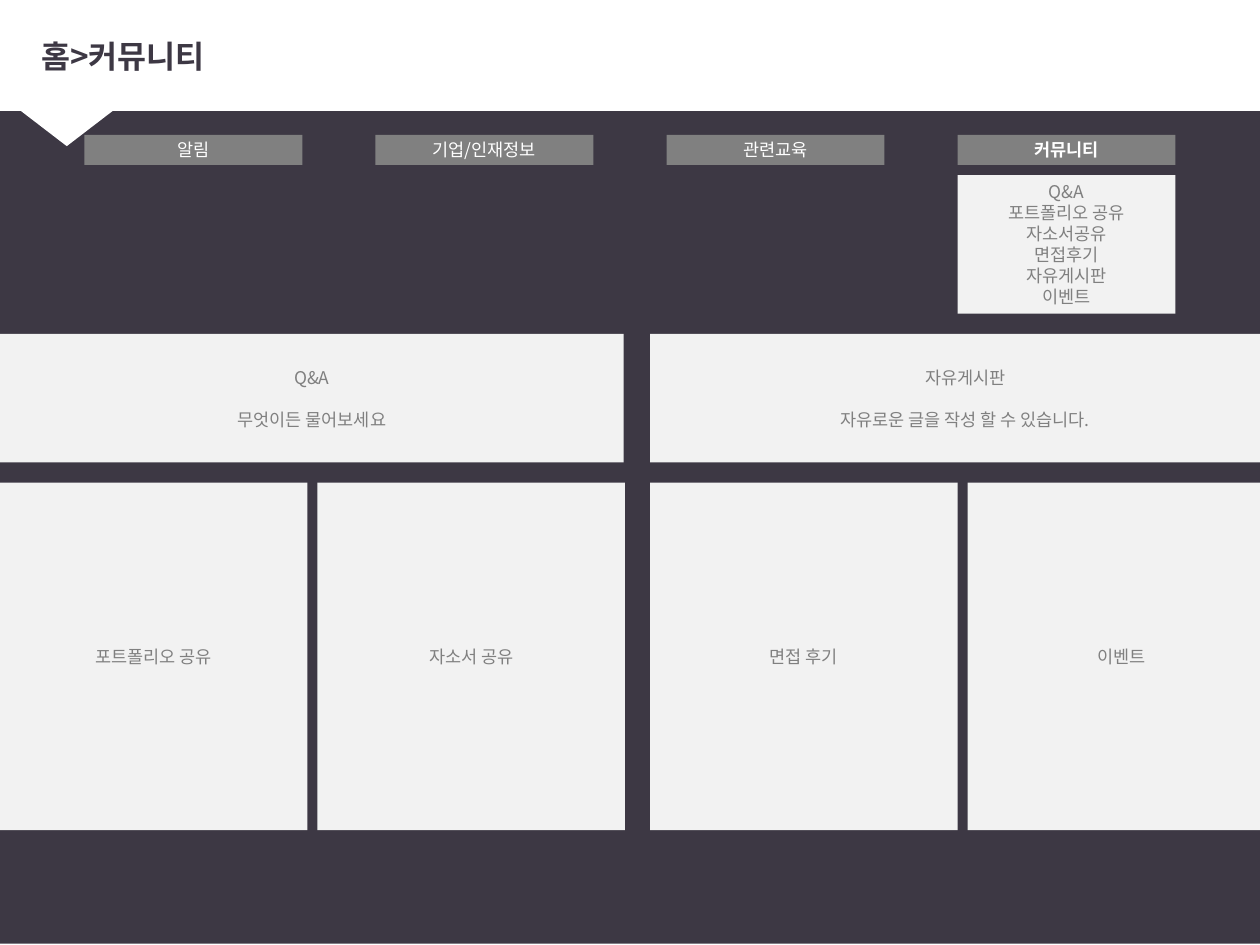
import pptx
import pptx.dml.color
import pptx.enum.shapes
import pptx.enum.text
import pptx.oxml
import pptx.oxml.ns
import pptx.util
from pptx.util import Inches

RGBColor = pptx.dml.color.RGBColor
MSO_SHAPE = pptx.enum.shapes.MSO_SHAPE
PP_ALIGN = pptx.enum.text.PP_ALIGN

DARK = RGBColor(0x3D, 0x38, 0x44)
WHITE = RGBColor(0xFF, 0xFF, 0xFF)
GRAY = RGBColor(0x80, 0x80, 0x80)
PALE = RGBColor(0xF2, 0xF2, 0xF2)
FONT = "Noto Sans CJK KR"

MENU_LEFT, MENU_STEP, MENU_WIDTH = 0.67, 2.31, 1.73
MENU = ["알림", "기업/인재정보", "관련교육", "커뮤니티"]
SUBMENU = ["Q&A", "포트폴리오 공유", "자소서공유", "면접후기", "자유게시판", "이벤트"]
BANNERS = [
    (0, 4.95, ["Q&A", "무엇이든 물어보세요"]),
    (5.16, 5, ["자유게시판", "자유로운 글을 작성 할 수 있습니다."]),
]
BOARDS = ["포트폴리오 공유", "자소서 공유", "면접 후기", "이벤트"]
HALF_STEP, BOARD_STEP = 5.16, 2.52


def write_text(shape, lines, size=10, color=GRAY, bold=False,
               align=PP_ALIGN.CENTER, gap=0):
    """Fill a shape with one paragraph per line, gap points apart."""
    frame = shape.text_frame
    frame.word_wrap = True
    frame.vertical_anchor = pptx.enum.text.MSO_ANCHOR.MIDDLE
    for i, line in enumerate(lines):
        paragraph = frame.add_paragraph() if i else frame.paragraphs[0]
        paragraph.alignment = align
        paragraph.space_before = pptx.util.Pt(gap if i else 0)
        run = paragraph.add_run()
        run.text = line
        run.font.size = pptx.util.Pt(size)
        run.font.bold = bold
        run.font.color.rgb = color
        run.font.name = FONT
        # Korean glyphs take the East Asian typeface
        east_asian = pptx.oxml.ns.qn("a:ea")
        run.font._element.append(
            run.font._element.makeelement(east_asian, {"typeface": FONT}))


def add_block(slide, left, top, width, height, fill, kind=MSO_SHAPE.RECTANGLE):
    block = slide.shapes.add_shape(
        kind, Inches(left), Inches(top), Inches(width), Inches(height))
    block.shadow.inherit = False
    block.fill.solid()
    block.fill.fore_color.rgb = fill
    block.line.fill.background()
    return block


def add_header(slide):
    add_block(slide, 0, -0.01, 10.14, 7.5, DARK)
    add_block(slide, -0.03, -0.02, 10.17, 0.9, WHITE)
    pointer = add_block(slide, -0.2, 0.6, 1.46, 0.56, WHITE,
                        MSO_SHAPE.ISOSCELES_TRIANGLE)
    pointer.rotation = 180
    title = slide.shapes.add_textbox(
        Inches(0.23), Inches(0.13), Inches(9.66), Inches(0.62))
    write_text(title, ["홈>커뮤니티"], size=18, color=DARK, bold=True,
               align=PP_ALIGN.LEFT)


def add_menu(slide):
    current = len(MENU) - 1
    for i, label in enumerate(MENU):
        tab = add_block(slide, MENU_LEFT + i * MENU_STEP, 1.07,
                        MENU_WIDTH, 0.24, GRAY)
        write_text(tab, [label], color=WHITE, bold=i == current)
    submenu = add_block(slide, MENU_LEFT + current * MENU_STEP, 1.39,
                        MENU_WIDTH, 1.1, PALE)
    write_text(submenu, SUBMENU)


def add_panels(slide):
    for left, width, lines in BANNERS:
        banner = add_block(slide, left, 2.65, width, 1.02, PALE)
        write_text(banner, lines, gap=12)
    # Two boards under each banner
    for i, label in enumerate(BOARDS):
        half, column = divmod(i, 2)
        board = add_block(slide, half * HALF_STEP + column * BOARD_STEP, 3.83,
                          2.44, 2.76, PALE)
        write_text(board, [label])


def main():
    deck = pptx.Presentation()
    deck.slide_width, deck.slide_height = Inches(10), Inches(7.5)
    slide = deck.slides.add_slide(deck.slide_layouts[6])
    add_header(slide)
    add_menu(slide)
    add_panels(slide)
    deck.save("out.pptx")


if __name__ == "__main__":
    main()
